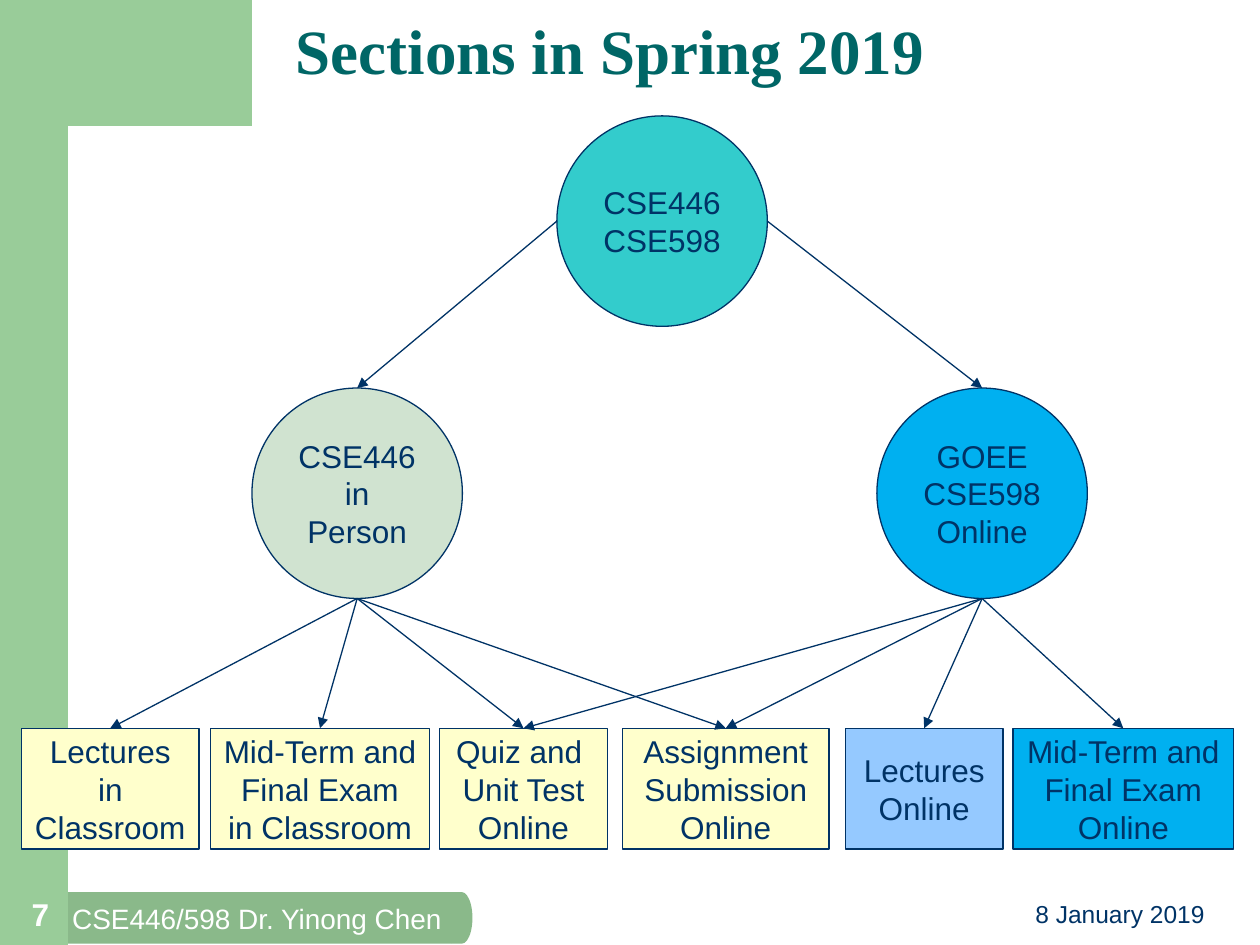
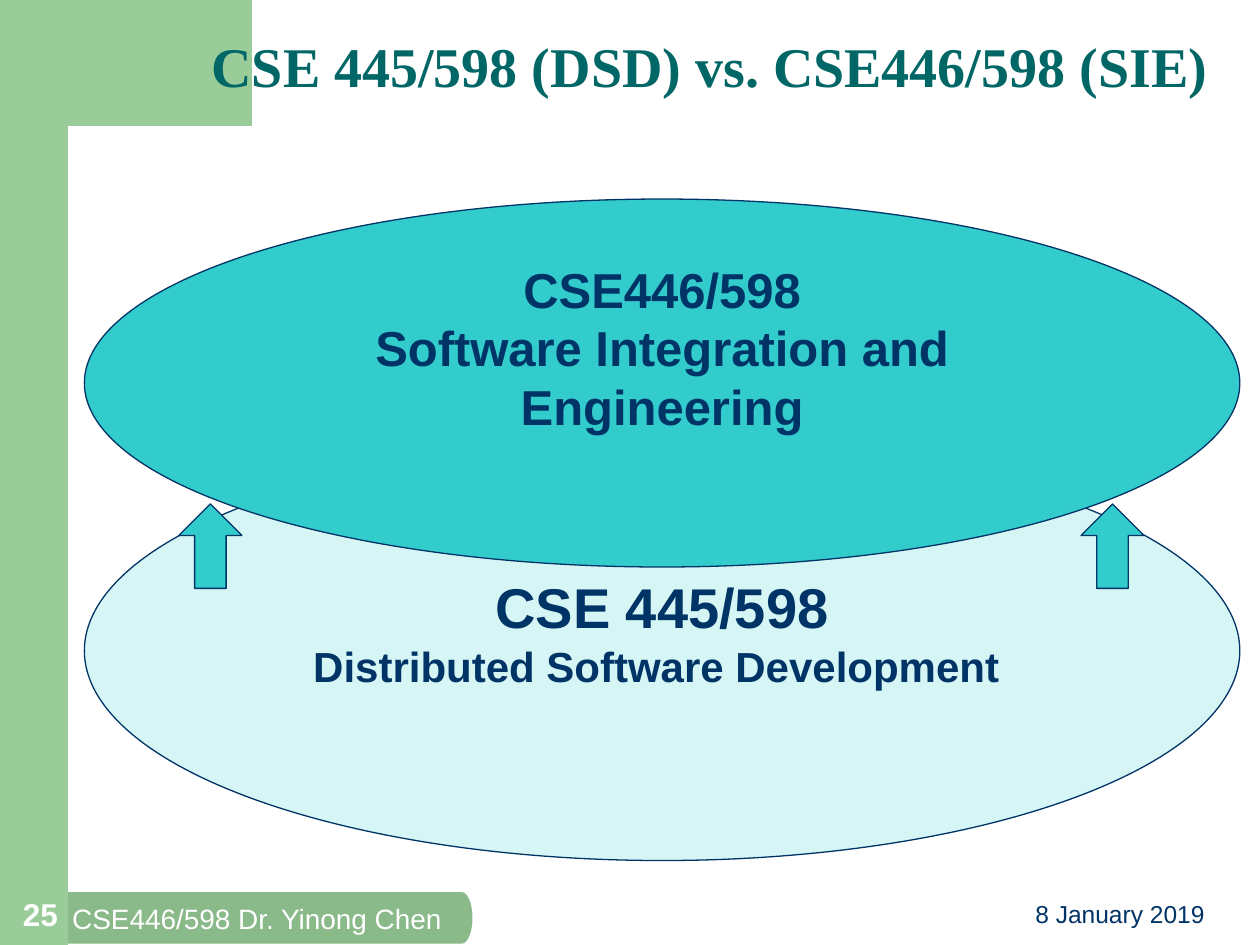
from lxml.etree import SubElement
from pptx import Presentation
from pptx.dml.color import RGBColor
from pptx.enum.shapes import MSO_CONNECTOR, MSO_SHAPE
from pptx.enum.text import MSO_ANCHOR, PP_ALIGN
from pptx.oxml.ns import qn
from pptx.util import Inches, Pt

# Theme
THEME = {
    "band": "99CC99", "footer": "8AB98A", "title": "006666", "ink": "003366",
    "white": "FFFFFF", "teal": "33CCCC", "pale_teal": "D6F5F5", "sage": "D0E3D0",
    "sky": "00B0F0", "cream": "FFFFCC", "light_blue": "95C9FF",
    "body_font": "Arial", "title_font": "Times New Roman",
    "label_size": 18, "footer_size": 16, "date_size": 14, "line_width": 0.75,
}

# Content shared by both slides
COURSE = "CSE446/598 Dr. Yinong Chen"
DATE = "8 January 2019"

# Section tree: name -> text, left, top, fill
CIRCLE_SIZE = 1.67
CIRCLES = {
    "course": ("CSE446\nCSE598", 4.42, 0.92, "teal"),
    "in_person": ("CSE446 in Person", 2.0, 3.08, "sage"),
    "online": ("GOEE CSE598 Online", 6.96, 3.08, "sky"),
}
# Activities: name -> text, left, width, fill
ACTIVITY_TOP, ACTIVITY_HEIGHT = 5.78, 0.96
ACTIVITIES = {
    "class_lectures": ("Lectures in Classroom", 0.17, 1.41, "cream"),
    "class_exams": ("Mid-Term and Final Exam\nin Classroom", 1.67, 1.74, "cream"),
    "quiz": ("Quiz and \vUnit Test\nOnline", 3.49, 1.33, "cream"),
    "assignment": ("Assignment\nSubmission Online", 4.94, 1.64, "cream"),
    "online_lectures": ("Lectures\nOnline", 6.71, 1.25, "light_blue"),
    "online_exams": ("Mid-Term and Final Exam\nOnline", 8.04, 1.75, "sky"),
}
SECTION_ACTIVITIES = {
    "in_person": ["class_lectures", "class_exams", "quiz", "assignment"],
    "online": ["quiz", "assignment", "online_lectures", "online_exams"],
}

# Course layers, back to front: text, top, height, fill, sizes, top inset
LAYER_LEFT, LAYER_WIDTH = 0.67, 9.17
LAYERS = [
    ("CSE 445/598\nDistributed Software Development ", 3.5, 3.33, "pale_teal", (32, 24), 0.56),
    ("CSE446/598\nSoftware Integration and Engineering", 1.58, 2.92, "teal", (28, 28), 0.05),
]
ARROW_LEFTS = (1.42, 8.58)

# Inner corner of the green band: two curves of four points each
CORNER_CURVES = [
    [(0.67, 0.85), (0.65, 0.86), (0.61, 0.89), (0.6, 0.92)],
    [(0.6, 0.92), (0.58, 0.95), (0.56, 1.0), (0.55, 1.04)],
    [(0.55, 1.04), (0.54, 1.08), (0.54, 1.12), (0.54, 1.16)],
]


def color(name):
    return RGBColor.from_string(THEME[name])


def write(box, text, sizes, ink="ink", font="body_font", bold=False,
          align=PP_ALIGN.CENTER, anchor=MSO_ANCHOR.MIDDLE, wrap=True):
    """Fill a box with text; sizes holds one point size per paragraph, or one for all."""
    frame = box.text_frame
    frame.text = text
    frame.word_wrap = wrap
    frame.vertical_anchor = anchor
    for index, para in enumerate(frame.paragraphs):
        para.alignment = align
        for span in para.runs:
            span.font.size = Pt(sizes[min(index, len(sizes) - 1)])
            span.font.name = THEME[font]
            span.font.bold = bold
            span.font.color.rgb = color(ink)
    return frame


def paint(shape, fill, outlined):
    shape.shadow.inherit = False
    shape.fill.solid()
    shape.fill.fore_color.rgb = color(fill)
    if outlined:
        shape.line.color.rgb = color("ink")
        shape.line.width = Pt(THEME["line_width"])
    else:
        shape.line.fill.background()
    return shape


def add_shape(page, kind, left, top, width, height, fill, outlined=True):
    shape = page.shapes.add_shape(kind, *map(Inches, (left, top, width, height)))
    return paint(shape, fill, outlined)


def add_text(page, left, top, width, height, text, size, **style):
    box = page.shapes.add_textbox(*map(Inches, (left, top, width, height)))
    return write(box, text, [size], anchor=MSO_ANCHOR.BOTTOM, **style)


def add_arrow(page, start, end):
    line = page.shapes.add_connector(MSO_CONNECTOR.STRAIGHT, *map(Inches, start + end))
    line.line.color.rgb = color("ink")
    line.line.width = Pt(THEME["line_width"])
    SubElement(line.line._get_or_add_ln(), qn("a:tailEnd"), type="triangle")
    SubElement(line._element.spPr, qn("a:effectLst"))


def curve_points(points, steps=6):
    for step in range(1, steps + 1):
        t = step / steps
        weights = ((1 - t) ** 3, 3 * t * (1 - t) ** 2, 3 * t ** 2 * (1 - t), t ** 3)
        yield tuple(sum(w * p[axis] for w, p in zip(weights, points)) for axis in (0, 1))


def add_page(deck, title, title_area, title_size, number):
    page = deck.slides.add_slide(deck.slide_layouts[6])
    # Footer tab
    add_shape(page, MSO_SHAPE.FLOWCHART_DELAY, 3.58, 7.08, 0.17, 0.41, "footer", False)
    tab = add_shape(page, MSO_SHAPE.RECTANGLE, 0.5, 7.08, 3.08, 0.41, "footer", False)
    write(tab, COURSE, [THEME["footer_size"]], ink="white", wrap=False)
    # Green band with its rounded inner corner
    add_shape(page, MSO_SHAPE.RECTANGLE, 0, 0, 0.54, 7.5, "band", False)
    outline = [(2.25, 0.83), (0.75, 0.84), (0.72, 0.83), (0.67, 0.85)]
    for curve in CORNER_CURVES:
        outline += curve_points(curve)
    outline += [(0.54, 1.28), (0.32, 1.28), (0.32, 0)]
    builder = page.shapes.build_freeform(2.25, 0, scale=Inches(1))
    builder.add_line_segments(outline, close=True)
    paint(builder.convert_to_shape(), "band", False)
    # Title, date and number
    frame = add_text(page, *title_area, title, title_size, ink="title",
                     font="title_font", bold=True, align=PP_ALIGN.LEFT)
    frame.paragraphs[0].line_spacing = 0.9
    add_text(page, 7.33, 7, 2.33, 0.42, DATE, THEME["date_size"], align=PP_ALIGN.RIGHT)
    add_text(page, 0, 6.92, 0.64, 0.53, str(number), THEME["label_size"],
             ink="white", bold=True)
    return page


deck = Presentation()
deck.slide_width, deck.slide_height = Inches(10), Inches(7.5)

# Slide: sections as a tree
page = add_page(deck, "Sections in Spring 2019", (2.25, 0.08, 7.75, 0.67), 36, 7)
for text, left, top, fill in CIRCLES.values():
    circle = add_shape(page, MSO_SHAPE.OVAL, left, top, CIRCLE_SIZE, CIRCLE_SIZE, fill)
    write(circle, text, [THEME["label_size"]])
for text, left, width, fill in ACTIVITIES.values():
    box = add_shape(page, MSO_SHAPE.RECTANGLE, left, ACTIVITY_TOP, width, ACTIVITY_HEIGHT, fill)
    write(box, text, [THEME["label_size"]])

_, course_left, course_top, _ = CIRCLES["course"]
course_sides = {"in_person": course_left, "online": course_left + CIRCLE_SIZE}
for section, activities in SECTION_ACTIVITIES.items():
    _, left, top, _ = CIRCLES[section]
    center = left + CIRCLE_SIZE / 2
    add_arrow(page, (course_sides[section], course_top + CIRCLE_SIZE / 2), (center, top))
    for activity in activities:
        _, box_left, box_width, _ = ACTIVITIES[activity]
        add_arrow(page, (center, top + CIRCLE_SIZE), (box_left + box_width / 2, ACTIVITY_TOP))

# Slide: one course built on the other
page = add_page(deck, "CSE 445/598 (DSD) vs. CSE446/598 (SIE)", (1.58, 0.17, 8.42, 0.67), 32, 25)
for text, top, height, fill, sizes, inset in LAYERS:
    layer = add_shape(page, MSO_SHAPE.OVAL, LAYER_LEFT, top, LAYER_WIDTH, height, fill)
    frame = write(layer, text, sizes, bold=True, anchor=MSO_ANCHOR.TOP)
    frame.margin_top = Inches(inset)
for left in ARROW_LEFTS:
    add_shape(page, MSO_SHAPE.UP_ARROW, left, 4, 0.5, 0.67, "teal")

deck.save("out.pptx")
